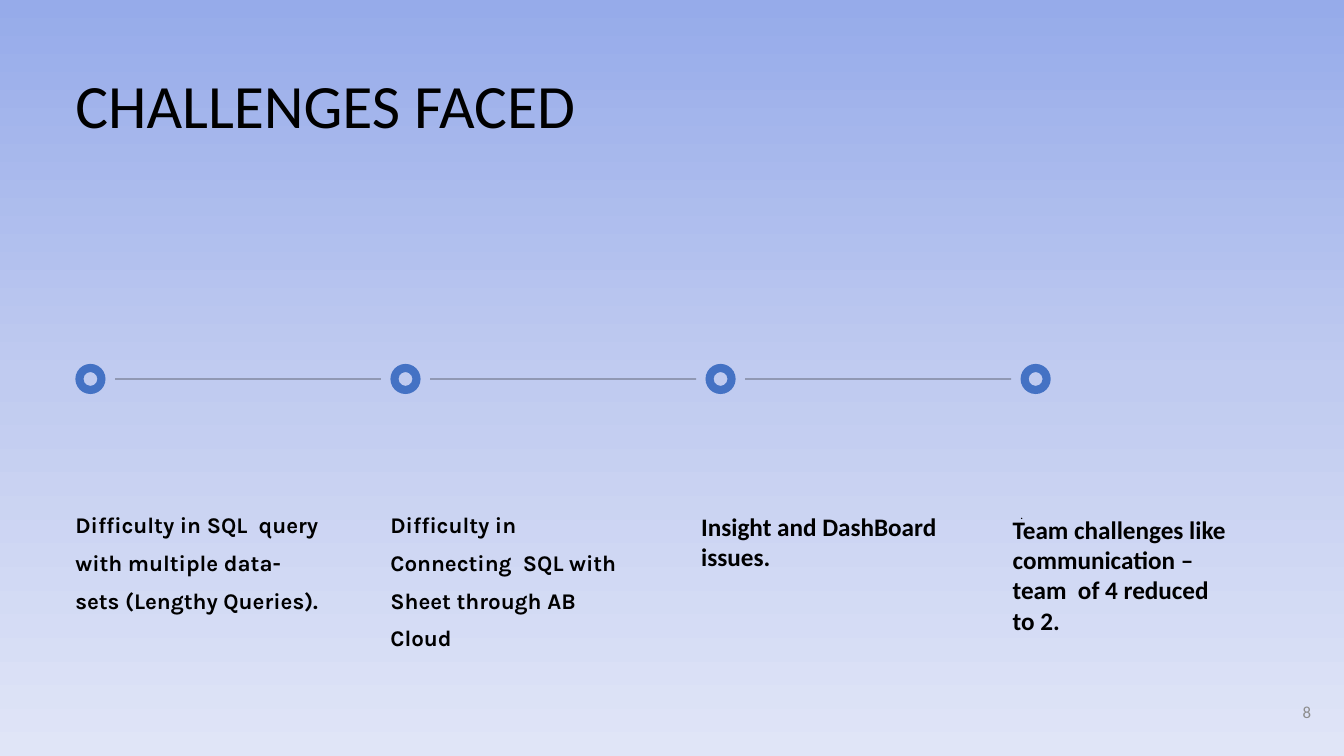
import copy

import pptx
import pptx.dml.color
import pptx.enum.shapes
import pptx.enum.text
import pptx.oxml
import pptx.oxml.ns
import pptx.util
from pptx.dml.color import RGBColor
from pptx.util import Cm, Pt

BLACK = RGBColor(0x00, 0x00, 0x00)
BLUE = RGBColor(0x44, 0x72, 0xC4)
GREY = RGBColor(0x8C, 0x8C, 0x8C)
SKY = (RGBColor(0x96, 0xAB, 0xEA), RGBColor(0xC0, 0xCB, 0xF0), RGBColor(0xE0, 0xE5, 0xF7))

ALIGN = pptx.enum.text.PP_ALIGN
ANCHOR = pptx.enum.text.MSO_ANCHOR
NS = pptx.oxml.ns.nsdecls("a")

LEFT = 1.9
PITCH = 7.94
RING = 0.76
GAP = 0.24
AXIS = 9.55
NODES = [LEFT + i * PITCH for i in range(4)]


class Deck:
    font = "Calibri"
    accent = "Karla"

    def __init__(self):
        self.show = pptx.Presentation()
        self.show.slide_width = Cm(33.87)
        self.show.slide_height = Cm(19.05)
        self.slide = self.show.slides.add_slide(self.show.slide_layouts[5])

    def backdrop(self, colors):
        """Fill the background with evenly spaced stops, top to bottom."""
        fill = self.slide.background.fill
        fill.gradient()
        fill.gradient_angle = 270
        stops = self.slide.element.find(".//" + pptx.oxml.ns.qn("a:gsLst"))
        while len(stops) < len(colors):
            stops.append(copy.deepcopy(stops[0]))
        for i, (stop, color) in enumerate(zip(fill.gradient_stops, colors)):
            stop.position = i / (len(colors) - 1)
            stop.color.rgb = color

    def fill_text(self, frame, text, size, font=None, color=BLACK, bold=False,
                  align=ALIGN.LEFT, space=1.0, inset=True):
        """Fill a text frame, one paragraph for each line of text."""
        frame.word_wrap = True
        frame.text = text
        if not inset:
            frame.margin_left = frame.margin_right = 0
            frame.margin_top = frame.margin_bottom = 0
        for para in frame.paragraphs:
            para.alignment = align
            para.line_spacing = space
            para.font.name = font or self.font
            para.font.size = Pt(size)
            para.font.bold = bold
            para.font.color.rgb = color

    def title(self, text, x, y, w, h):
        shape = self.slide.shapes.title
        shape.left, shape.top, shape.width, shape.height = Cm(x), Cm(y), Cm(w), Cm(h)
        shape.text_frame.vertical_anchor = ANCHOR.TOP
        self.fill_text(shape.text_frame, text, 44, space=0.9, inset=False)

    def text(self, text, x, y, w, h, size, anchor=ANCHOR.TOP, **style):
        box = self.slide.shapes.add_textbox(Cm(x), Cm(y), Cm(w), Cm(h))
        box.text_frame.vertical_anchor = anchor
        self.fill_text(box.text_frame, text, size, **style)

    def note(self, text, x, y, w, h, size=16, bold=True):
        self.text(text, x, y, w, h, size, font=self.accent, bold=bold,
                  space=1.4, inset=False)

    def ring(self, x):
        shape = self.slide.shapes.add_shape(
            pptx.enum.shapes.MSO_SHAPE.DONUT,
            Cm(x), Cm(AXIS - RING / 2), Cm(RING), Cm(RING))
        shape.adjustments[0] = 0.27
        shape.shadow.inherit = False
        shape.fill.solid()
        shape.fill.fore_color.rgb = BLUE
        shape.line.fill.background()

    def link(self, start, end):
        line = self.slide.shapes.add_connector(
            pptx.enum.shapes.MSO_CONNECTOR.STRAIGHT,
            Cm(start), Cm(AXIS), Cm(end), Cm(AXIS))
        line.line.width = Pt(0.75)
        line.line.color.rgb = BLACK
        props = line.element.spPr
        tint = props.find(".//" + pptx.oxml.ns.qn("a:srgbClr"))
        tint.append(pptx.oxml.parse_xml(f'<a:alpha {NS} val="39000"/>'))
        props.append(pptx.oxml.parse_xml(f"<a:effectLst {NS}/>"))


def main():
    deck = Deck()
    deck.backdrop(SKY)
    deck.title("CHALLENGES FACED", LEFT, 1.9, 24, 2.67)

    for x in NODES:
        deck.ring(x)
    for x, after in zip(NODES, NODES[1:]):
        deck.link(x + RING + GAP, after - GAP)

    deck.note("Difficulty in SQL  query with multiple data-sets (Lengthy Queries).",
              NODES[0], 12.62, 6.22, 3.84)
    deck.note("Difficulty in Connecting  SQL with Sheet through AB Cloud",
              NODES[1], 12.62, 6.22, 3.84)
    deck.note(".", NODES[3], 12.62, 6.22, 0.53, size=9, bold=False)
    deck.text("Insight and DashBoard issues.", 17.42, 12.75, 6.65, 1.8, 18, bold=True)
    deck.text("Team challenges like communication – team  of 4 reduced\nto 2.",
              25.27, 12.83, 6.22, 4.11, 18, bold=True)
    deck.text("8", 31.01, 17.6, 2.03, 0.69, 12, anchor=ANCHOR.MIDDLE,
              color=GREY, align=ALIGN.RIGHT, inset=False)
    deck.show.save("out.pptx")


if __name__ == "__main__":
    main()
